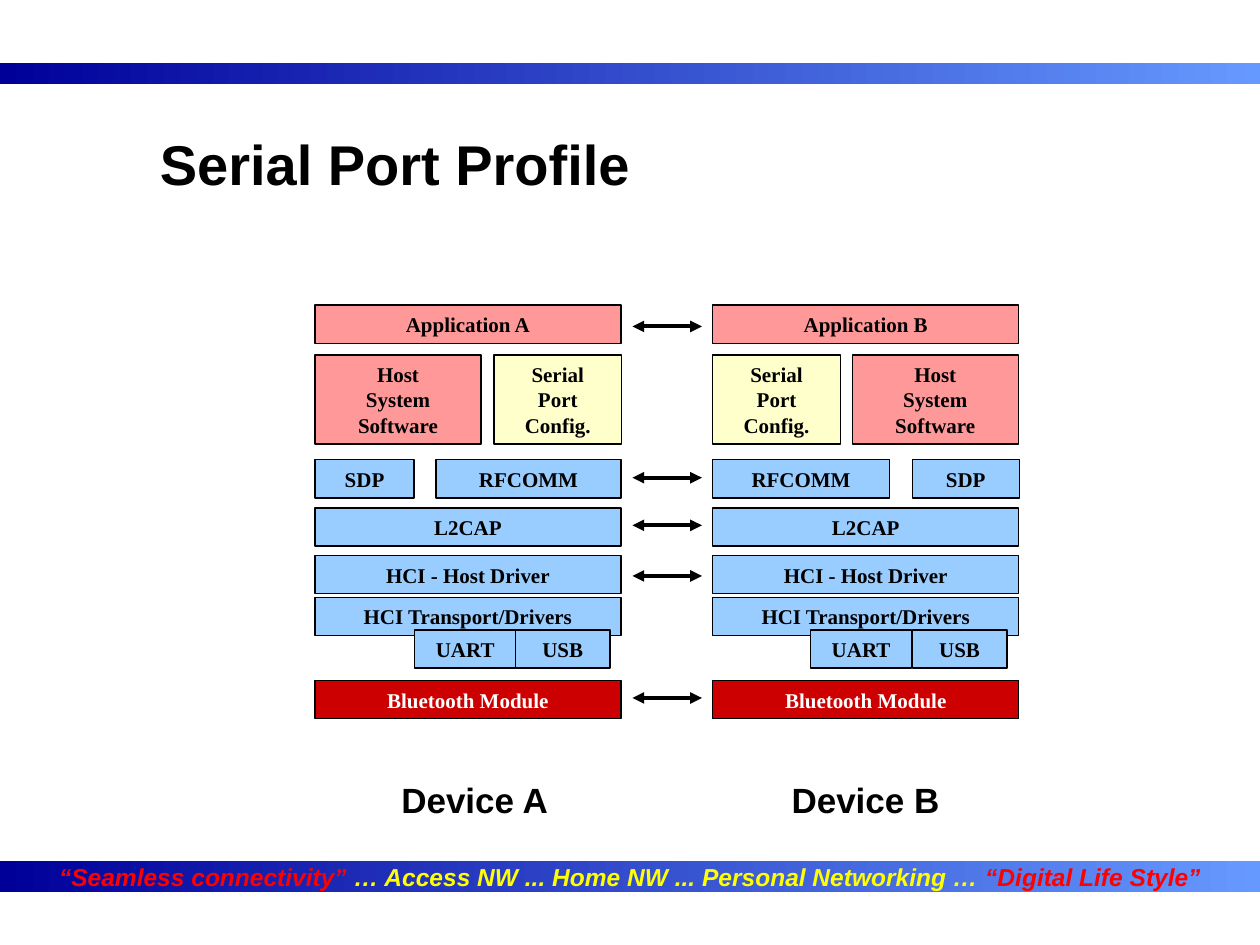
from dataclasses import dataclass

from lxml import etree
from pptx import Presentation
from pptx import util as u
from pptx.dml.color import RGBColor
from pptx.enum import shapes, text
from pptx.oxml import ns

BLACK = RGBColor(0x00, 0x00, 0x00)
WHITE = RGBColor(0xFF, 0xFF, 0xFF)
NAVY = RGBColor(0x00, 0x00, 0x99)
AZURE = RGBColor(0x66, 0x99, 0xFF)
SKY = RGBColor(0x99, 0xCC, 0xFF)
PINK = RGBColor(0xFF, 0x99, 0x99)
CREAM = RGBColor(0xFF, 0xFF, 0xCC)
CRIMSON = RGBColor(0xCC, 0x00, 0x00)
RED = RGBColor(0xFF, 0x00, 0x00)
YELLOW = RGBColor(0xFF, 0xFF, 0x00)

SANS, SERIF = "Arial", "Times New Roman"
LEFT_A, LEFT_B = 6.35, 14.37
FULL, LOW, TALL = 6.17, 0.77, 1.79


@dataclass
class Box:
    """One protocol block; lengths in centimetres."""
    label: str
    left: float
    top: float
    width: float = FULL
    height: float = LOW
    fill: RGBColor = SKY
    ink: RGBColor = BLACK


def stack(name: str, left: float) -> list[Box]:
    """The full-width layers, which are the same for both devices."""
    return [
        Box(f"Application {name}", left, 6.15, fill=PINK),
        Box("L2CAP", left, 10.24),
        Box("HCI - Host Driver", left, 11.2),
        Box("HCI Transport/Drivers", left, 12.04),
        Box("Bluetooth Module", left, 13.72, fill=CRIMSON, ink=WHITE),
    ]


def parts(host: float, config: float, sdp: tuple[float, float],
          rfcomm: tuple[float, float], uart: float, usb: float) -> list[Box]:
    """The narrow blocks, whose places differ between the devices."""
    return [
        Box("Host\nSystem\nSoftware", host, 7.16, 3.35, TALL, PINK),
        Box("Serial\nPort\nConfig.", config, 7.16, 2.57, TALL, CREAM),
        Box("SDP", sdp[0], 9.27, sdp[1]),
        Box("RFCOMM", rfcomm[0], 9.27, rfcomm[1]),
        Box("UART", uart, 12.7, 2.04),
        Box("USB", usb, 12.7, 1.91),
    ]


BOXES = [
    *stack("A", LEFT_A),
    *parts(LEFT_A, 9.96, (LEFT_A, 2.0), (8.79, 3.73), 8.36, 10.39),
    *stack("B", LEFT_B),
    *parts(17.18, LEFT_B, (18.39, 2.16), (LEFT_B, 3.56), 16.34, 18.39),
]
LINKS = [6.58, 9.63, 10.59, 11.61, 14.07]
SLOGAN = [
    ("“Seamless connectivity”", RED),
    (" … Access NW ... Home NW ... Personal Networking … ", YELLOW),
    ("“Digital Life Style”", RED),
]


def add_run(para, words: str, face: str, size: float, ink: RGBColor,
            slant: bool = False) -> None:
    run = para.add_run()
    run.text = words
    font = run.font
    font.name, font.size, font.bold, font.italic = face, u.Pt(size), True, slant
    font.color.rgb = ink


def set_frame(frame, wrap: bool) -> None:
    frame.word_wrap = wrap
    frame.vertical_anchor = text.MSO_ANCHOR.MIDDLE
    frame.paragraphs[0].alignment = text.PP_ALIGN.CENTER


def add_rect(slide, left: float, top: float, width: float, height: float):
    rect = slide.shapes.add_shape(shapes.MSO_SHAPE.RECTANGLE, u.Cm(left),
                                  u.Cm(top), u.Cm(width), u.Cm(height))
    rect.shadow.inherit = False
    return rect


def add_band(slide, top: float, height: float):
    """Full-width bar shaded from navy to azure."""
    band = add_rect(slide, 0, top, 25.4, height)
    band.line.fill.background()
    band.fill.gradient()
    band.fill.gradient_angle = 0
    for stop, shade in zip(band.fill.gradient_stops, (NAVY, AZURE)):
        stop.color.rgb = shade
    return band


def add_box(slide, box: Box) -> None:
    rect = add_rect(slide, box.left, box.top, box.width, box.height)
    rect.fill.solid()
    rect.fill.fore_color.rgb = box.fill
    rect.line.color.rgb = BLACK
    rect.line.width = u.Pt(0.75)
    frame = rect.text_frame
    set_frame(frame, True)
    for i, words in enumerate(box.label.split("\n")):
        para = frame.add_paragraph() if i else frame.paragraphs[0]
        para.alignment = text.PP_ALIGN.CENTER
        add_run(para, words, SERIF, 12, box.ink)


def add_link(slide, top: float) -> None:
    """Two-headed arrow between the devices."""
    link = slide.shapes.add_connector(shapes.MSO_CONNECTOR.STRAIGHT,
                                      u.Cm(12.75), u.Cm(top),
                                      u.Cm(14.15), u.Cm(top))
    link.line.color.rgb = BLACK
    link.line.width = u.Pt(2.25)
    line = link.line._get_or_add_ln()
    for end in ("a:headEnd", "a:tailEnd"):
        etree.SubElement(line, ns.qn(end), type="triangle")
    etree.SubElement(link._element.spPr, ns.qn("a:effectLst"))


def add_name(slide, words: str, left: float) -> None:
    name = slide.shapes.add_textbox(u.Cm(left), u.Cm(15.57), u.Cm(3.5), u.Cm(1.1))
    set_frame(name.text_frame, False)
    add_run(name.text_frame.paragraphs[0], words, SANS, 20, BLACK)


def set_title(slide) -> None:
    title = slide.shapes.title
    title.left, title.top = u.Cm(2.97), u.Cm(1.7)
    title.width, title.height = u.Cm(20.55), u.Cm(3.18)
    set_frame(title.text_frame, True)
    para = title.text_frame.paragraphs[0]
    para.alignment = text.PP_ALIGN.LEFT
    add_run(para, "Serial Port Profile", SANS, 32, BLACK)


def main() -> None:
    deck = Presentation()
    deck.slide_width, deck.slide_height = u.Cm(25.4), u.Cm(19.05)
    slide = deck.slides.add_slide(deck.slide_layouts[5])

    add_band(slide, 1.27, 0.42)
    foot = add_band(slide, 17.35, 0.63).text_frame
    set_frame(foot, False)
    for words, ink in SLOGAN:
        add_run(foot.paragraphs[0], words, SANS, 14, ink, slant=True)

    set_title(slide)
    for box in BOXES:
        add_box(slide, box)
    for top in LINKS:
        add_link(slide, top)
    add_name(slide, "Device A", 7.82)
    add_name(slide, "Device B", 15.7)
    deck.save("out.pptx")


if __name__ == "__main__":
    main()
